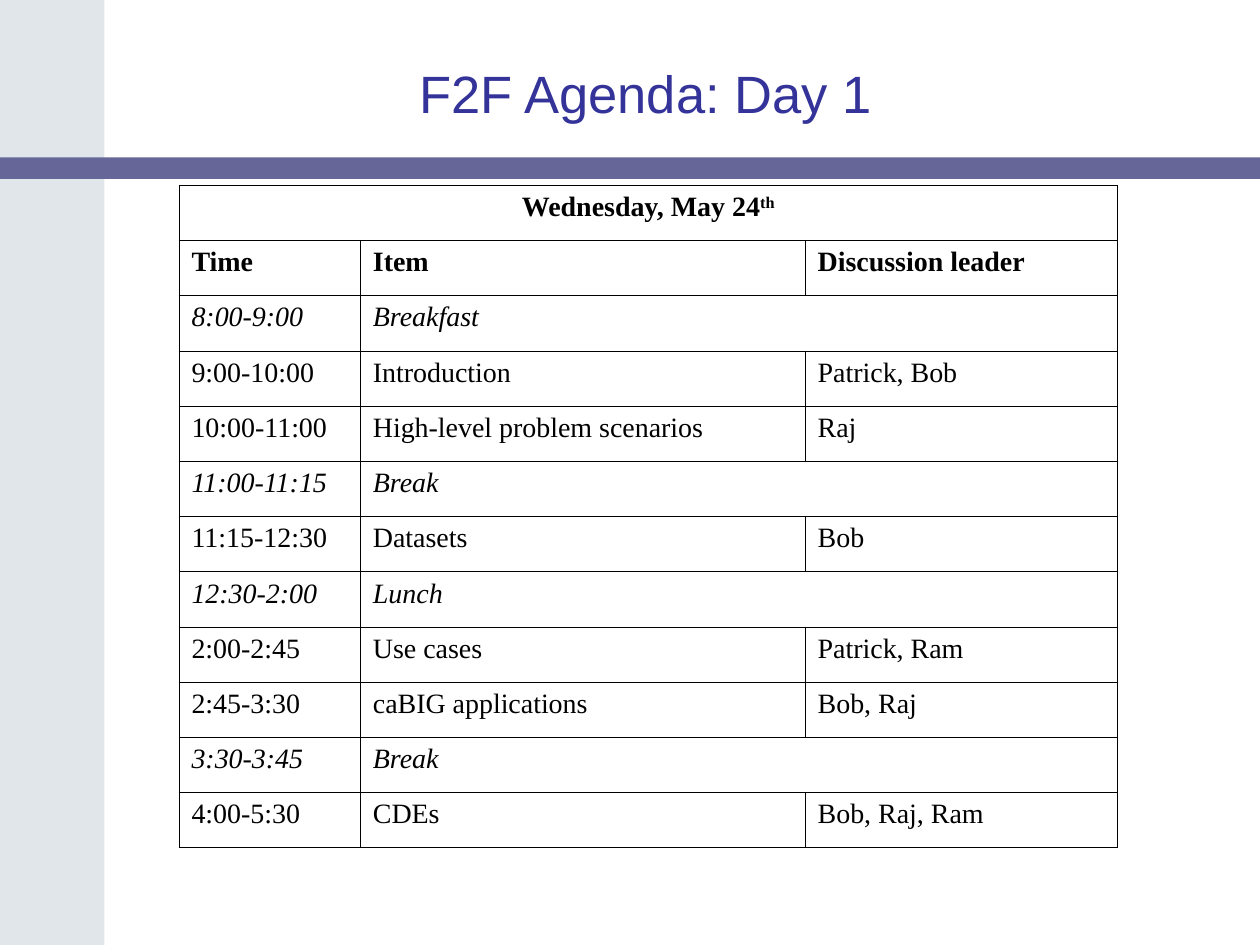
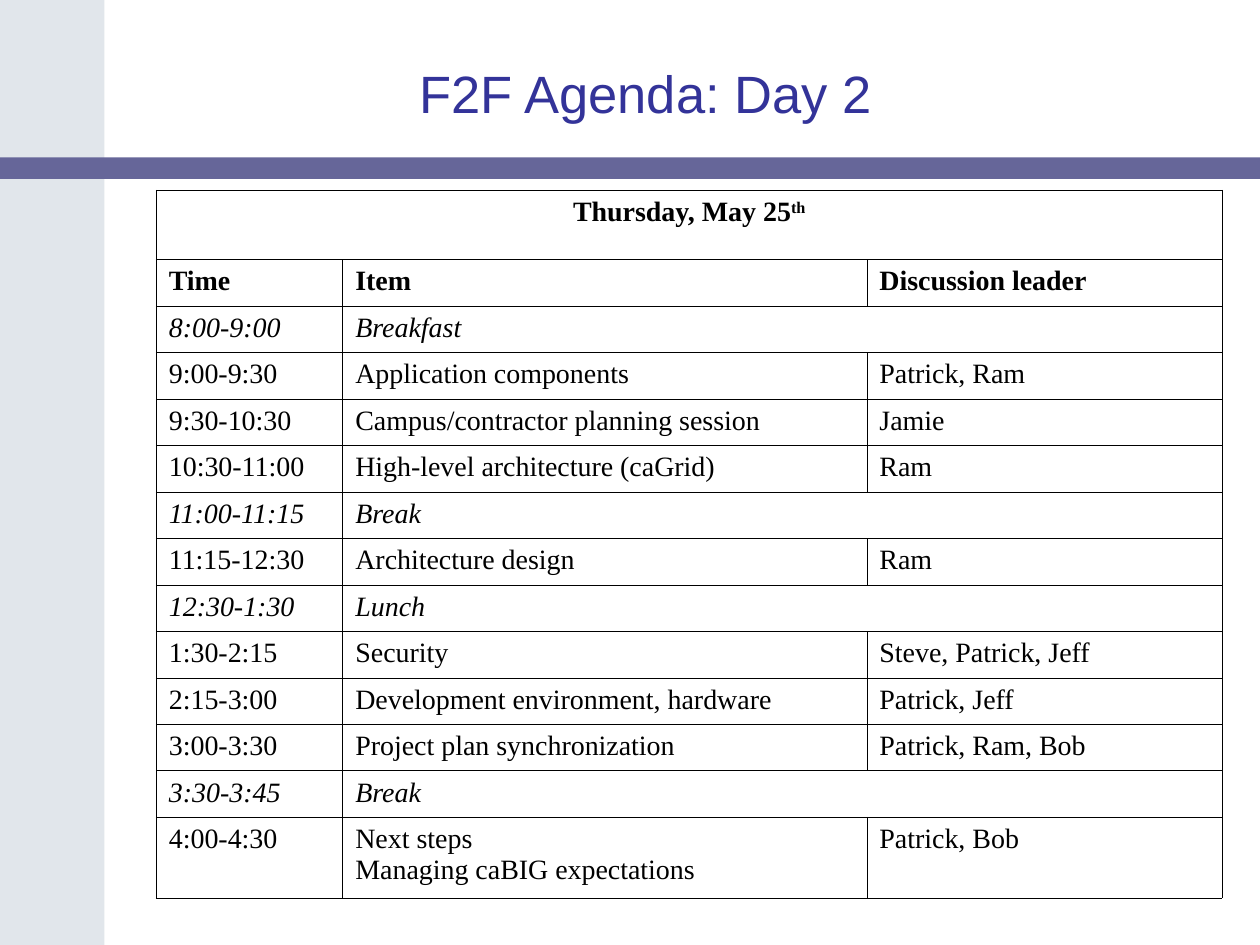
"""Build the two agenda slides of a face-to-face meeting."""
from dataclasses import dataclass

from lxml import etree
from pptx import Presentation
from pptx.dml.color import RGBColor
from pptx.enum import shapes, text
from pptx.oxml import ns
from pptx.util import Inches, Pt

SIDEBAR_GREY = RGBColor(0xE1, 0xE6, 0xEB)
RULE_PURPLE = RGBColor(0x66, 0x66, 0x99)
TITLE_BLUE = RGBColor(0x33, 0x33, 0x99)
BLACK = RGBColor(0x00, 0x00, 0x00)

TITLE_FONT = {"name": "Arial", "size": Pt(30)}
TABLE_FONT = {"name": "Times New Roman", "size": Pt(16)}
TABLE_FLAGS = {"first_row": False, "horz_banding": False}
CELL_MARGINS = {
    "margin_left": Inches(0.1), "margin_right": Inches(0.1),
    "margin_top": Inches(0.05), "margin_bottom": Inches(0.05),
}
TITLE_FRAME = {**CELL_MARGINS, "word_wrap": True, "vertical_anchor": text.MSO_ANCHOR.MIDDLE}
BORDER_WIDTH = Pt(0.45)
HEADINGS = ("Time", "Item", "Discussion leader")


@dataclass(frozen=True)
class Band:
    """A flat coloured area shared by all slides."""

    kind: shapes.MSO_SHAPE
    left: float
    top: float
    width: float
    height: float
    color: RGBColor


@dataclass(frozen=True)
class Session:
    """One agenda row; a pause has no leader."""

    time: str
    item: str
    leader: str = ""


@dataclass(frozen=True)
class Day:
    """One agenda slide and the layout of its table."""

    title: str
    date: str
    left: float
    top: float
    height: float
    columns: tuple[float, ...]
    sessions: tuple[Session, ...]
    fixed_rows: dict[int, float]

    def row_heights(self) -> list[float]:
        """Share the height left by the fixed rows equally."""
        count = len(self.sessions) + 2
        rest = self.height - sum(self.fixed_rows.values())
        even = rest / (count - len(self.fixed_rows))
        return [self.fixed_rows.get(row, even) for row in range(count)]


BANDS = (
    Band(shapes.MSO_SHAPE.RECTANGLE, 0, 0, 0.83, 7.5, SIDEBAR_GREY),
    Band(shapes.MSO_SHAPE.ROUNDED_RECTANGLE, 0, 1.25, 10, 0.17, RULE_PURPLE),
)

DAYS = (
    Day("F2F Agenda: Day 1", "Wednesday, May 24", 1.42, 1.47, 5.26, (1.44, 3.53, 2.48), (
        Session("8:00-9:00", "Breakfast"),
        Session("9:00-10:00", "Introduction", "Patrick, Bob"),
        Session("10:00-11:00", "High-level problem scenarios", "Raj"),
        Session("11:00-11:15", "Break"),
        Session("11:15-12:30", "Datasets", "Bob"),
        Session("12:30-2:00", "Lunch"),
        Session("2:00-2:45", "Use cases", "Patrick, Ram"),
        Session("2:45-3:30", "caBIG applications", "Bob, Raj"),
        Session("3:30-3:45", "Break"),
        Session("4:00-5:30", "CDEs", "Bob, Raj, Ram"),
    ), {}),
    Day("F2F Agenda: Day 2", "Thursday, May 25", 1.24, 1.51, 5.62, (1.48, 4.16, 2.82), (
        Session("8:00-9:00", "Breakfast"),
        Session("9:00-9:30", "Application components", "Patrick, Ram"),
        Session("9:30-10:30", "Campus/contractor planning session", "Jamie"),
        Session("10:30-11:00", "High-level architecture (caGrid)", "Ram"),
        Session("11:00-11:15", "Break"),
        Session("11:15-12:30", "Architecture design", "Ram"),
        Session("12:30-1:30", "Lunch"),
        Session("1:30-2:15", "Security", "Steve, Patrick, Jeff"),
        Session("2:15-3:00", "Development environment, hardware", "Patrick, Jeff"),
        Session("3:00-3:30", "Project plan synchronization", "Patrick, Ram, Bob"),
        Session("3:30-3:45", "Break"),
        Session("4:00-4:30", "Next steps\nManaging caBIG expectations", "Patrick, Bob"),
    ), {0: 0.55, 13: 0.64}),
)


def apply(target, values: dict) -> None:
    """Set each named attribute on the target."""
    for name, value in values.items():
        setattr(target, name, value)


def style_runs(frame, color: RGBColor, font: dict) -> None:
    """Format every run of a text frame."""
    for paragraph in frame.paragraphs:
        for run in paragraph.runs:
            apply(run.font, font)
            run.font.color.rgb = color


def draw_band(slide, band: Band) -> None:
    """Draw one flat band."""
    box = (Inches(value) for value in (band.left, band.top, band.width, band.height))
    shape = slide.shapes.add_shape(band.kind, *box)
    if band.kind == shapes.MSO_SHAPE.ROUNDED_RECTANGLE:
        shape.adjustments[0] = 0.01
    shape.shadow.inherit = False
    shape.fill.solid()
    shape.fill.fore_color.rgb = band.color
    shape.line.fill.background()


def draw_title(slide, title: str) -> None:
    """Draw the centred slide title."""
    frame = slide.shapes.add_textbox(Inches(0.75), Inches(0.3), Inches(8.75), Inches(0.87)).text_frame
    apply(frame, TITLE_FRAME)
    frame.text = title
    frame.paragraphs[0].alignment = text.PP_ALIGN.CENTER
    style_runs(frame, TITLE_BLUE, TITLE_FONT)


def frame_cell(cell) -> None:
    """Clear the fill of a cell and outline its four sides."""
    apply(cell, CELL_MARGINS)
    cell.fill.background()
    properties = cell._tc.get_or_add_tcPr()
    for position, side in enumerate(("lnL", "lnR", "lnT", "lnB")):
        line = etree.Element(ns.qn(f"a:{side}"), w=str(BORDER_WIDTH))
        fill = etree.SubElement(line, ns.qn("a:solidFill"))
        etree.SubElement(fill, ns.qn("a:srgbClr"), val=str(BLACK))
        properties.insert(position, line)


def write_row(table, row: int, values: tuple[str, ...], **emphasis: bool) -> None:
    """Fill one table row with equally styled text."""
    for column, value in enumerate(values):
        frame = table.cell(row, column).text_frame
        frame.text = value
        style_runs(frame, BLACK, {**TABLE_FONT, **emphasis})


def write_date(table, date: str) -> None:
    """Write the date with its raised ordinal across the top row."""
    table.cell(0, 0).merge(table.cell(0, 2))
    frame = table.cell(0, 0).text_frame
    paragraph = frame.paragraphs[0]
    paragraph.alignment = text.PP_ALIGN.CENTER
    for part in (date, "th"):
        paragraph.add_run().text = part
    style_runs(frame, BLACK, {**TABLE_FONT, "bold": True})
    paragraph.runs[1].font._element.set("baseline", "30000")


def draw_agenda(slide, day: Day) -> None:
    """Draw the agenda table of one day."""
    heights = day.row_heights()
    table = slide.shapes.add_table(
        len(heights), len(day.columns), Inches(day.left), Inches(day.top),
        Inches(sum(day.columns)), Inches(day.height)).table
    apply(table, TABLE_FLAGS)
    for column, width in zip(table.columns, day.columns):
        column.width = Inches(width)
    for row, height in zip(table.rows, heights):
        row.height = Inches(height)
    for cell in table.iter_cells():
        frame_cell(cell)
    write_date(table, day.date)
    write_row(table, 1, HEADINGS, bold=True)
    for row, session in enumerate(day.sessions, start=2):
        if session.leader:
            write_row(table, row, (session.time, session.item, session.leader))
        else:
            table.cell(row, 1).merge(table.cell(row, 2))
            write_row(table, row, (session.time, session.item), italic=True)


def main() -> None:
    """Build and save the presentation."""
    presentation = Presentation()
    apply(presentation, {"slide_width": Inches(10), "slide_height": Inches(7.5)})
    for day in DAYS:
        slide = presentation.slides.add_slide(presentation.slide_layouts[6])
        for band in BANDS:
            draw_band(slide, band)
        draw_title(slide, day.title)
        draw_agenda(slide, day)
    presentation.save("out.pptx")


if __name__ == "__main__":
    main()
